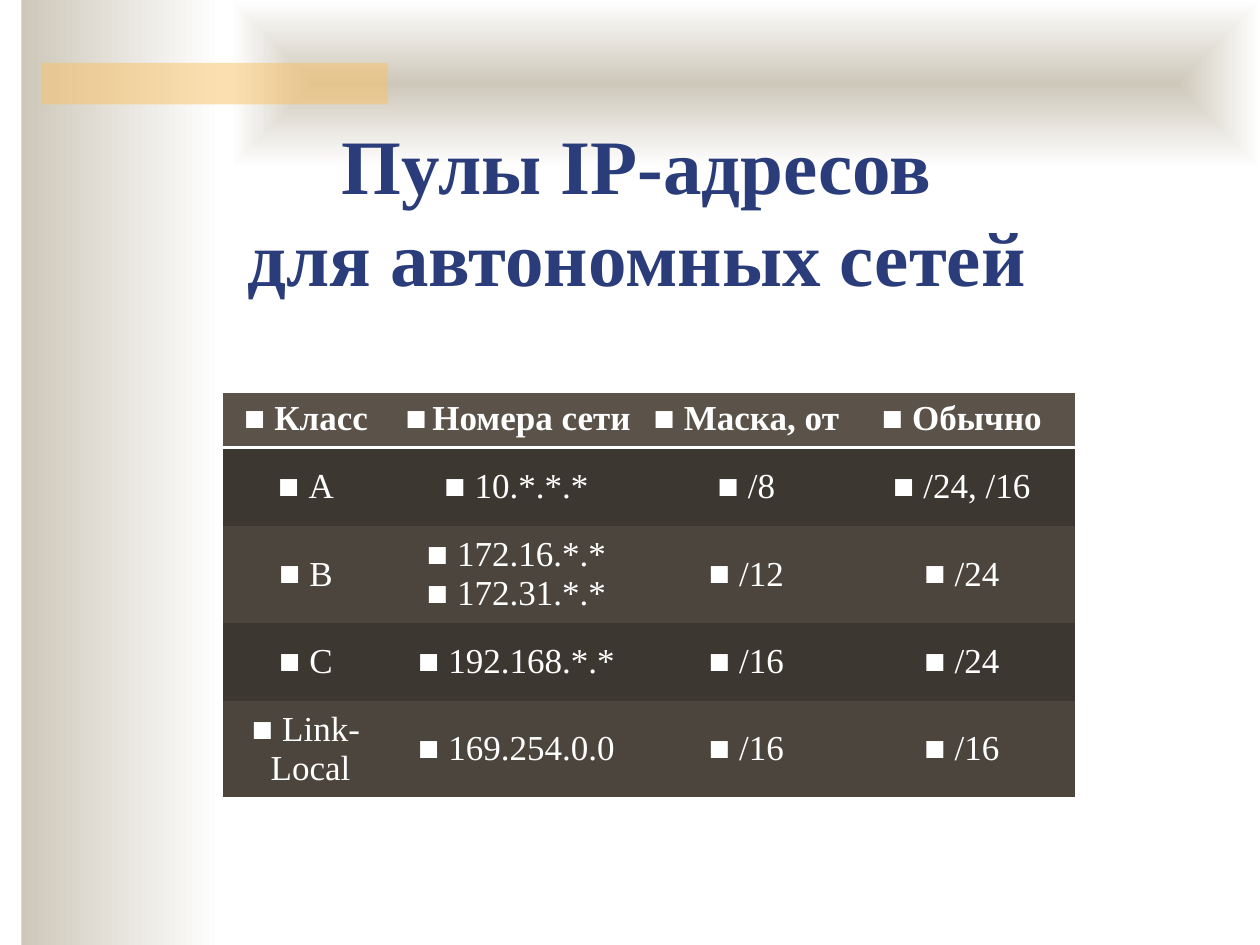
import pptx
import pptx.dml.color
import pptx.enum.shapes
import pptx.enum.text
import pptx.oxml
import pptx.oxml.ns
import pptx.util
from lxml import etree
from pptx.util import Inches

COLORS = {
    "sand": "CEC8BA",
    "white": "FFFFFF",
    "amber": "FAC164",
    "title": "2A3D7A",
    "header": "5B5249",
    "dark_row": "3D3731",
    "light_row": "4C453D",
}
FONT = "Times New Roman"
NO_STYLE = "{2D5ABB26-0587-4C30-8999-92F81FD0307C}"
COLUMN_WIDTHS = [1.39, 1.95, 1.7, 1.72]
ROW_HEIGHTS = [0.35] + [0.62] * 4
POOLS = [
    ["Класс", "Номера сети", "Маска, от", "Обычно"],
    ["A", "10.*.*.*", "/8", "/24, /16"],
    ["B", "172.16.*.*\n172.31.*.*", "/12", "/24"],
    ["C", "192.168.*.*", "/16", "/24"],
    ["Link-Local", "169.254.0.0", "/16", "/16"],
]


def rgb(name):
    return pptx.dml.color.RGBColor.from_string(COLORS[name])


def xml(markup):
    return pptx.oxml.parse_xml(markup.replace(" ", f" {pptx.oxml.ns.nsdecls('a')} ", 1))


def add_band(slide, left, top, width, height):
    band = slide.shapes.add_shape(
        pptx.enum.shapes.MSO_SHAPE.RECTANGLE,
        Inches(left), Inches(top), Inches(width), Inches(height))
    band.shadow.inherit = False
    band.line.fill.background()
    return band


def fade_to_white(band, from_centre=False):
    band.fill.gradient()
    band.fill.gradient_angle = 0
    for stop, name in zip(band.fill.gradient_stops, ("sand", "white")):
        stop.color.rgb = rgb(name)
    if from_centre:
        direction = band._element.spPr.find(".//" + pptx.oxml.ns.qn("a:lin"))
        direction.getparent().replace(direction, xml(
            '<a:path path="shape"><a:fillToRect l="50000" t="50000" '
            'r="50000" b="50000"/></a:path>'))


def fill_translucent(band, name, percent):
    band.fill.solid()
    band.fill.fore_color.rgb = rgb(name)
    color = band._element.spPr.find(".//" + pptx.oxml.ns.qn("a:srgbClr"))
    etree.SubElement(color, pptx.oxml.ns.qn("a:alpha"), val=str(percent * 1000))


def write_text(frame, text, size, color, bold=False, bullet=False):
    frame.word_wrap = True
    for index, line in enumerate(text.split("\n")):
        paragraph = frame.paragraphs[0] if index == 0 else frame.add_paragraph()
        paragraph.alignment = pptx.enum.text.PP_ALIGN.CENTER
        run = paragraph.add_run()
        run.text = line
        run.font.name = FONT
        run.font.size = pptx.util.Pt(size)
        run.font.bold = bold
        run.font.color.rgb = rgb(color)
        if bullet:
            add_bullet(paragraph, color)


def add_bullet(paragraph, color):
    properties = paragraph._p.get_or_add_pPr()
    properties.set("marL", "0")
    properties.set("indent", str(-Inches(0.24)))
    for markup in (
            f'<a:buClr ><a:srgbClr val="{COLORS[color]}"/></a:buClr>',
            '<a:buSzPct val="100000"/>',
            f'<a:buFont typeface="{FONT}"/>',
            '<a:buChar char="■"/>'):
        properties.append(xml(markup))


def add_bottom_border(cell, color, points):
    border = xml(
        f'<a:lnB w="{pptx.util.Pt(points)}"><a:solidFill>'
        f'<a:srgbClr val="{COLORS[color]}"/></a:solidFill></a:lnB>')
    cell._tc.get_or_add_tcPr().insert(0, border)


def add_background(slide):
    fade_to_white(add_band(slide, 0.17, 0, 1.58, 7.5))
    fade_to_white(add_band(slide, 1.83, 0, 8.17, 1.33), from_centre=True)
    fill_translucent(add_band(slide, 0.33, 0.5, 2.75, 0.33), "amber", 50)


def add_title(slide):
    title = slide.shapes.add_textbox(
        Inches(0.28), Inches(0.88), Inches(9.55), Inches(1.1))
    write_text(title.text_frame, "Пулы IP-адресов\nдля автономных сетей",
               size=44, color="title", bold=True)


def add_pool_table(slide):
    frame = slide.shapes.add_table(
        len(POOLS), len(COLUMN_WIDTHS), Inches(1.77), Inches(3.12),
        Inches(sum(COLUMN_WIDTHS)), Inches(sum(ROW_HEIGHTS)))
    pools = frame.table
    pools.horz_banding = False
    pools._tbl.tblPr.find(pptx.oxml.ns.qn("a:tableStyleId")).text = NO_STYLE
    for column, width in zip(pools.columns, COLUMN_WIDTHS):
        column.width = Inches(width)
    for row_index, (row, height) in enumerate(zip(pools.rows, ROW_HEIGHTS)):
        row.height = Inches(height)
        is_header = row_index == 0
        body_fill = "dark_row" if row_index % 2 else "light_row"
        for cell, text in zip(row.cells, POOLS[row_index]):
            write_text(cell.text_frame, text, size=20, color="white",
                       bold=is_header, bullet=True)
            cell.margin_left = cell.margin_right = Inches(0.06)
            cell.fill.solid()
            cell.fill.fore_color.rgb = rgb("header" if is_header else body_fill)
            if is_header:
                add_bottom_border(cell, "white", 2)
            else:
                cell.vertical_anchor = pptx.enum.text.MSO_ANCHOR.MIDDLE


def main():
    presentation = pptx.Presentation()
    presentation.slide_width = Inches(10)
    presentation.slide_height = Inches(7.5)
    slide = presentation.slides.add_slide(presentation.slide_layouts[6])
    slide.background.fill.solid()
    slide.background.fill.fore_color.rgb = rgb("white")

    # Decorative bands, heading, address pools
    add_background(slide)
    add_title(slide)
    add_pool_table(slide)
    presentation.save("out.pptx")


if __name__ == "__main__":
    main()
